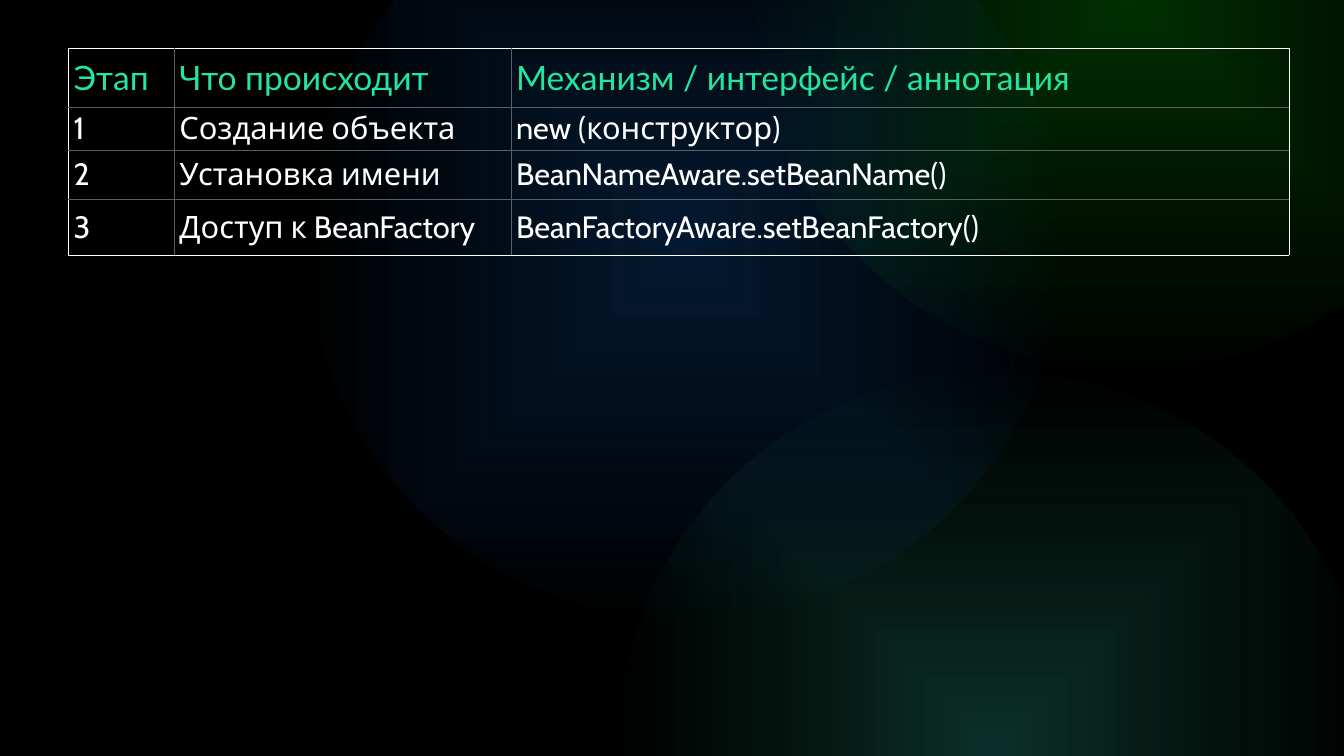
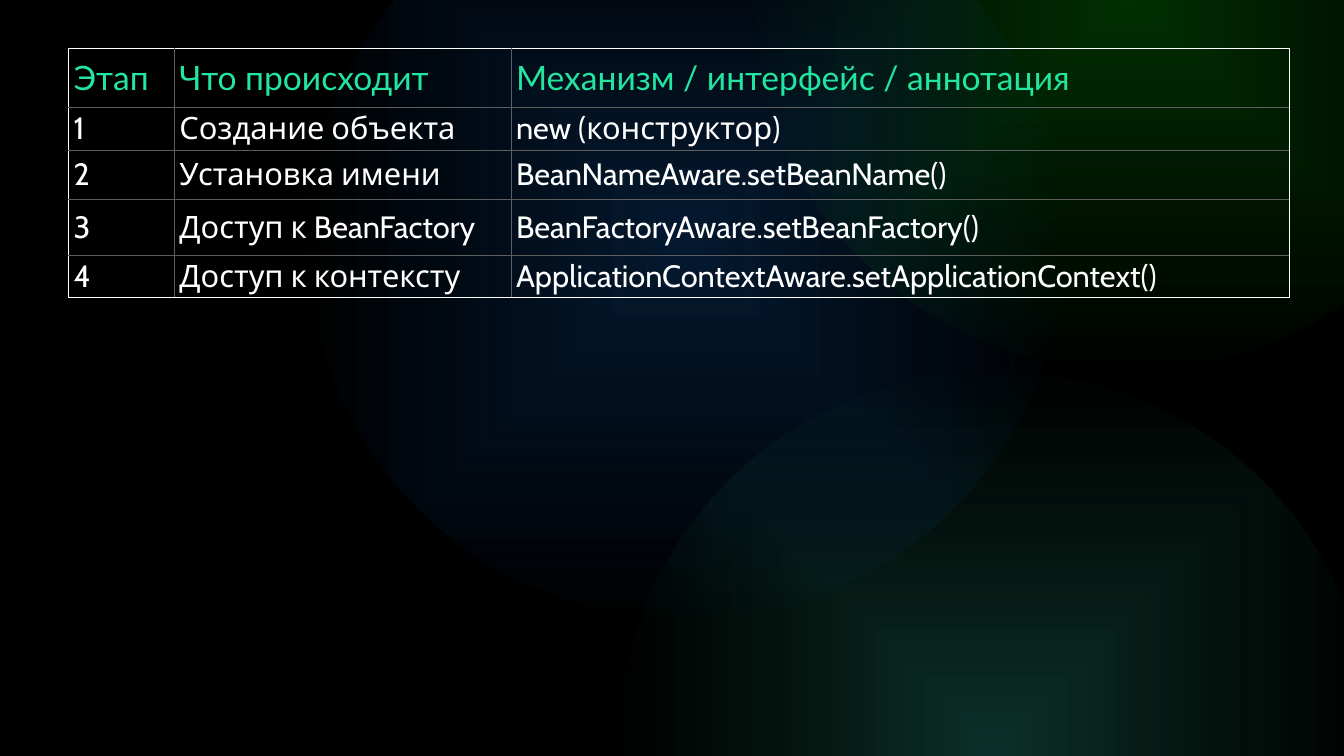
from dataclasses import dataclass

from pptx import Presentation
from pptx.dml.color import RGBColor
from pptx.enum.shapes import MSO_SHAPE
from pptx.enum.text import MSO_ANCHOR
from pptx.oxml import parse_xml
from pptx.oxml.ns import nsdecls, qn
from pptx.util import Inches, Pt


@dataclass(frozen=True)
class Theme:
    background: str = "000000"
    text: str = "FFFFFF"
    inner_border: str = "5E5E5E"
    outer_border: str = "FFFFFF"
    border_width: int = 1
    header_font: str = "Lato"
    body_font: str = "Cabin"
    header_size: int = 48
    body_size: int = 44
    header_spacing: int = 6
    # Gradient stops: position in percent, colour, opacity in percent
    header_stops: tuple = ((0, "34E234", 100), (51, "22E5A0", 100), (100, "5AB0FF", 100))
    green_glow: tuple = ((0, "08BC08", 25), (100, "08BC08", 0))
    teal_glow: tuple = ((0, "31C2A7", 25), (100, "209F6D", 0))
    blue_glow: tuple = ((1, "1164C0", 25), (100, "1164C0", 0))


THEME = Theme()

# Shared layout, in inches
SLIDE_SIZE = (26.67, 15)
GLOW_DIAMETER = 15
GLOWS = (
    (14.91, -7.64, THEME.green_glow),
    (12.25, 7.36, THEME.teal_glow),
    (6.1, -2.7, THEME.blue_glow),
)
TABLE_LEFT, TABLE_TOP = 1.36, 0.95
COLUMN_WIDTHS = (2.1, 6.68, 15.44)
ROW_HEIGHTS = (1.18, 0.85, 0.97, 1.11, 0.84)

# Bean life cycle: heading, then one row per stage
HEADER = ("Этап", "Что происходит", "Механизм / интерфейс / аннотация")
STAGES = (
    ("1", "Создание объекта", "new (конструктор)"),
    ("2", "Установка имени", "BeanNameAware.setBeanName()"),
    ("3", "Доступ к BeanFactory", "BeanFactoryAware.setBeanFactory()"),
    ("4", "Доступ к контексту", "ApplicationContextAware.setApplicationContext()"),
)
STAGES_SHOWN = (3, 4)


def gradient_fill(stops, direction):
    """Return a gradient fill element with the given stops."""
    stop_xml = "".join(
        f'<a:gs pos="{position * 1000}"><a:srgbClr val="{color}">'
        f'<a:alpha val="{opacity * 1000}"/></a:srgbClr></a:gs>'
        for position, color, opacity in stops
    )
    return parse_xml(
        f'<a:gradFill {nsdecls("a")} rotWithShape="1">'
        f"<a:gsLst>{stop_xml}</a:gsLst>{direction}</a:gradFill>"
    )


def write_text(paragraph, text, *, font, size, color=None, stops=None, spacing=0):
    """Write one run in a solid colour or a left-to-right gradient."""
    paragraph.space_before = paragraph.space_after = Pt(spacing)
    run = paragraph.add_run()
    run.text = text
    run.font.name = font
    run.font.size = Pt(size)
    run.font.bold = False
    if stops:
        fill = gradient_fill(stops, '<a:lin ang="0" scaled="0"/>')
        run.font._element.insert(0, fill)
    else:
        run.font.color.rgb = RGBColor.from_string(color)


class SlideBuilder:
    def __init__(self, presentation, theme):
        self.presentation = presentation
        self.theme = theme
        self.slide = None

    def start_slide(self):
        self.slide = self.presentation.slides.add_slide(self.presentation.slide_layouts[6])
        fill = self.slide.background.fill
        fill.solid()
        fill.fore_color.rgb = RGBColor.from_string(self.theme.background)
        for left, top, stops in GLOWS:
            self.add_glow(left, top, stops)

    def add_glow(self, left, top, stops):
        shape = self.slide.shapes.add_shape(
            MSO_SHAPE.OVAL, Inches(left), Inches(top),
            Inches(GLOW_DIAMETER), Inches(GLOW_DIAMETER),
        )
        shape.rotation = 180
        shape.shadow.inherit = False
        shape.line.fill.background()
        shape.fill.background()
        properties = shape._element.spPr
        fill = gradient_fill(
            stops,
            '<a:path path="shape"><a:fillToRect l="50000" t="50000" r="50000" b="50000"/></a:path>',
        )
        properties.replace(properties.find(qn("a:noFill")), fill)

    def add_table(self, rows):
        heights = ROW_HEIGHTS[:len(rows)]
        table = self.slide.shapes.add_table(
            len(rows), len(COLUMN_WIDTHS), Inches(TABLE_LEFT), Inches(TABLE_TOP),
            Inches(sum(COLUMN_WIDTHS)), Inches(sum(heights)),
        ).table
        table.first_row = table.horz_banding = False
        for column, width in zip(table.columns, COLUMN_WIDTHS):
            column.width = Inches(width)
        for row, height in zip(table.rows, heights):
            row.height = Inches(height)
        for row_index, texts in enumerate(rows):
            for column_index, text in enumerate(texts):
                outer_sides = {
                    "lnL": column_index == 0,
                    "lnR": column_index == len(texts) - 1,
                    "lnT": row_index == 0,
                    "lnB": row_index == len(rows) - 1,
                }
                cell = table.cell(row_index, column_index)
                self.format_cell(cell, outer_sides)
                self.fill_cell(cell, text, is_header=row_index == 0)

    def format_cell(self, cell, outer_sides):
        cell.vertical_anchor = MSO_ANCHOR.MIDDLE
        cell.margin_top = cell.margin_bottom = Inches(0)
        properties = cell._tc.get_or_add_tcPr()
        for side, is_outer in outer_sides.items():
            color = self.theme.outer_border if is_outer else self.theme.inner_border
            properties.append(parse_xml(
                f'<a:{side} {nsdecls("a")} w="{Pt(self.theme.border_width)}">'
                f'<a:solidFill><a:srgbClr val="{color}"/></a:solidFill></a:{side}>'
            ))
        cell.fill.background()

    def fill_cell(self, cell, text, is_header):
        theme = self.theme
        paragraph = cell.text_frame.paragraphs[0]
        if is_header:
            write_text(paragraph, text, font=theme.header_font, size=theme.header_size,
                       stops=theme.header_stops, spacing=theme.header_spacing)
        else:
            write_text(paragraph, text, font=theme.body_font, size=theme.body_size,
                       color=theme.text)


def main():
    presentation = Presentation()
    presentation.slide_width, presentation.slide_height = map(Inches, SLIDE_SIZE)
    builder = SlideBuilder(presentation, THEME)

    # Each slide reveals one more stage
    for stage_count in STAGES_SHOWN:
        builder.start_slide()
        builder.add_table((HEADER, *STAGES[:stage_count]))

    presentation.save("out.pptx")


if __name__ == "__main__":
    main()
